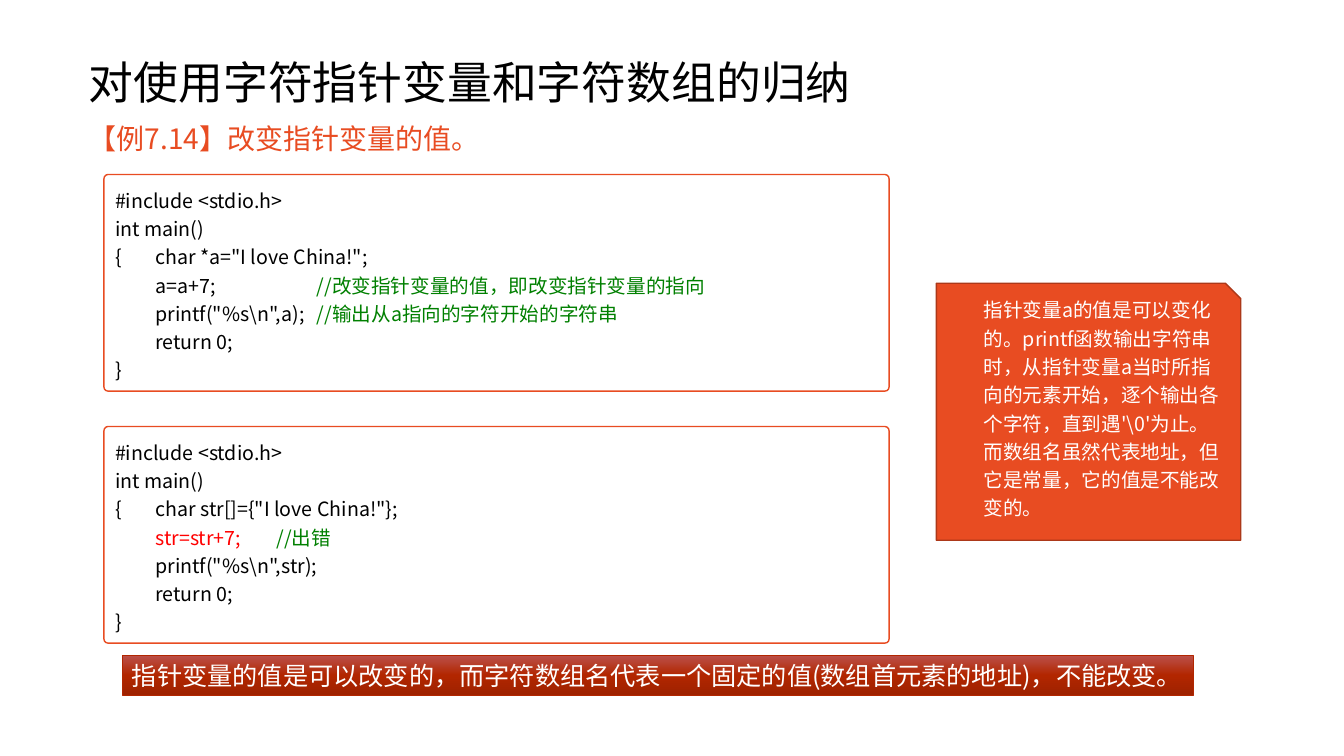
from dataclasses import dataclass

from lxml.etree import SubElement
from pptx import Presentation
from pptx.dml.color import RGBColor
from pptx.enum.shapes import MSO_SHAPE
from pptx.enum.text import MSO_ANCHOR, PP_ALIGN
from pptx.oxml.ns import qn
from pptx.util import Pt


@dataclass(frozen=True)
class Theme:
    font: str = "Noto Sans CJK SC"
    black: str = "000000"
    white: str = "FFFFFF"
    orange: str = "E84C22"
    note_line: str = "AC3819"
    bar_line: str = "B22600"
    comment: str = "008000"
    error: str = "FF0000"
    bar_stops: tuple = ((0, "BB514B"), (50, "B22600"), (100, "9E2200"))
    title_size: int = 32
    heading_size: int = 20
    bar_size: int = 18
    text_size: int = 14
    text_pitch: float = 20.2
    tab_step: float = 28.8


THEME = Theme()

POINTER_CODE = [
    ["#include <stdio.h>"],
    ["int main()"],
    ['{\tchar *a="I love China!";'],
    ["\ta=a+7;\t\t\t", ("//改变指针变量的值，即改变指针变量的指向", THEME.comment)],
    ['\tprintf("%s\\n",a);\t', ("//输出从a指向的字符开始的字符串", THEME.comment)],
    ["\treturn 0;"],
    ["}"],
]
ARRAY_CODE = [
    ["#include <stdio.h>"],
    ["int main()"],
    ['{\tchar str[]={"I love China!"};'],
    ["\t", ("str=str+7;\t", THEME.error), ("//出错", THEME.comment)],
    ['\tprintf("%s\\n",str);'],
    ["\treturn 0;"],
    ["}"],
]
NOTE = (
    "指针变量a的值是可以变化的。printf函数输出字符串时，从指针变量a当时所指向的元素开始，"
    "逐个输出各个字符，直到遇'\\0'为止。而数组名虽然代表地址，但它是常量，它的值是不能改变的。"
)
CONCLUSION = "指针变量的值是可以改变的，而字符数组名代表一个固定的值(数组首元素的地址)，不能改变。"


def set_attributes(target, **values):
    for name, value in values.items():
        setattr(target, name, value)


def place(shape, left, top, width, height):
    set_attributes(shape, left=Pt(left), top=Pt(top), width=Pt(width), height=Pt(height))


def add_run(paragraph, text, size, color):
    run = paragraph.add_run()
    run.text = text
    set_attributes(run.font, name=THEME.font, size=Pt(size), bold=False)
    run.font.color.rgb = RGBColor.from_string(color)
    SubElement(run.font._element, qn("a:ea"), typeface=THEME.font)


def write_line(paragraph, text, size, color, spacing=1.0):
    set_attributes(paragraph, alignment=PP_ALIGN.LEFT, line_spacing=spacing, space_before=Pt(0))
    add_run(paragraph, text, size, color)


def add_panel(shapes, kind, box, fill, line, weight, corner=None):
    panel = shapes.add_shape(kind, *map(Pt, box))
    panel.shadow.inherit = False
    if corner is not None:
        panel.adjustments[0] = corner
    if fill:
        panel.fill.solid()
        panel.fill.fore_color.rgb = RGBColor.from_string(fill)
    panel.line.color.rgb = RGBColor.from_string(line)
    panel.line.width = Pt(weight)
    set_attributes(panel.text_frame, word_wrap=True, vertical_anchor=MSO_ANCHOR.MIDDLE)
    return panel


def fill_downward(shape, stops):
    """Fill the shape with a top-to-bottom gradient of (percent, colour) stops."""
    shape.fill.gradient()
    shape.fill.gradient_angle = 270
    stop_list = shape._element.spPr.find(qn("a:gradFill")).find(qn("a:gsLst"))
    for stop in list(stop_list):
        stop_list.remove(stop)
    for percent, color in stops:
        stop = SubElement(stop_list, qn("a:gs"), pos=str(percent * 1000))
        SubElement(stop, qn("a:srgbClr"), val=color)


def add_tab_stops(paragraph, count=5):
    tabs = SubElement(paragraph._p.get_or_add_pPr(), qn("a:tabLst"))
    for number in range(1, count + 1):
        SubElement(tabs, qn("a:tab"), pos=str(Pt(THEME.tab_step * number)), algn="l")


def add_code(slide, top, lines):
    panel = add_panel(slide.shapes, MSO_SHAPE.ROUNDED_RECTANGLE, (74.2, top, 560.9, 154.8),
                      THEME.white, THEME.orange, 1, 0.02)
    frame = panel.text_frame
    for index, pieces in enumerate(lines):
        paragraph = frame.add_paragraph() if index else frame.paragraphs[0]
        add_tab_stops(paragraph)
        set_attributes(paragraph, alignment=PP_ALIGN.LEFT, line_spacing=Pt(THEME.text_pitch))
        for piece in pieces:
            text, color = (piece, THEME.black) if isinstance(piece, str) else piece
            add_run(paragraph, text, THEME.text_size, color)


def add_title(slide, text):
    title = slide.shapes.title
    place(title, 56.2, 23, 828, 74.9)
    set_attributes(title.text_frame, word_wrap=True, vertical_anchor=MSO_ANCHOR.MIDDLE)
    write_line(title.text_frame.paragraphs[0], text, THEME.title_size, THEME.black, 0.9)


def add_heading(slide, text):
    body = slide.placeholders[1]
    place(body, 56.2, 83.5, 843.8, 41)
    set_attributes(body.text_frame, word_wrap=True, vertical_anchor=MSO_ANCHOR.TOP)
    paragraph = body.text_frame.paragraphs[0]
    properties = paragraph._p.get_or_add_pPr()
    properties.set("marL", str(Pt(7.2)))
    properties.set("indent", str(Pt(-7.2)))
    SubElement(properties, qn("a:buNone"))
    write_line(paragraph, text, THEME.heading_size, THEME.orange)


def add_note(slide, text):
    group = slide.shapes.add_group_shape()
    add_panel(group.shapes, MSO_SHAPE.SNIP_1_RECTANGLE, (668.9, 202.3, 217.4, 183.6),
              THEME.orange, THEME.note_line, 1, 0.06)
    frame = group.shapes.add_textbox(*map(Pt, (695.5, 205.5, 184.3, 170))).text_frame
    set_attributes(frame, word_wrap=True, vertical_anchor=MSO_ANCHOR.MIDDLE)
    write_line(frame.paragraphs[0], text, THEME.text_size, THEME.white, Pt(THEME.text_pitch))


def add_conclusion(slide, text):
    bar = add_panel(slide.shapes, MSO_SHAPE.RECTANGLE, (87.1, 468, 765.4, 28.8),
                    None, THEME.bar_line, 0.5)
    fill_downward(bar, THEME.bar_stops)
    bar.text_frame.margin_right = Pt(0)
    write_line(bar.text_frame.paragraphs[0], text, THEME.bar_size, THEME.white)


def main():
    presentation = Presentation()
    set_attributes(presentation, slide_width=Pt(960), slide_height=Pt(540))
    slide = presentation.slides.add_slide(presentation.slide_layouts[1])
    add_title(slide, "对使用字符指针变量和字符数组的归纳")
    add_conclusion(slide, CONCLUSION)
    add_heading(slide, "【例7.14】改变指针变量的值。")
    for top, lines in ((124.6, POINTER_CODE), (304.6, ARRAY_CODE)):
        add_code(slide, top, lines)
    add_note(slide, NOTE)
    presentation.save("out.pptx")


if __name__ == "__main__":
    main()
